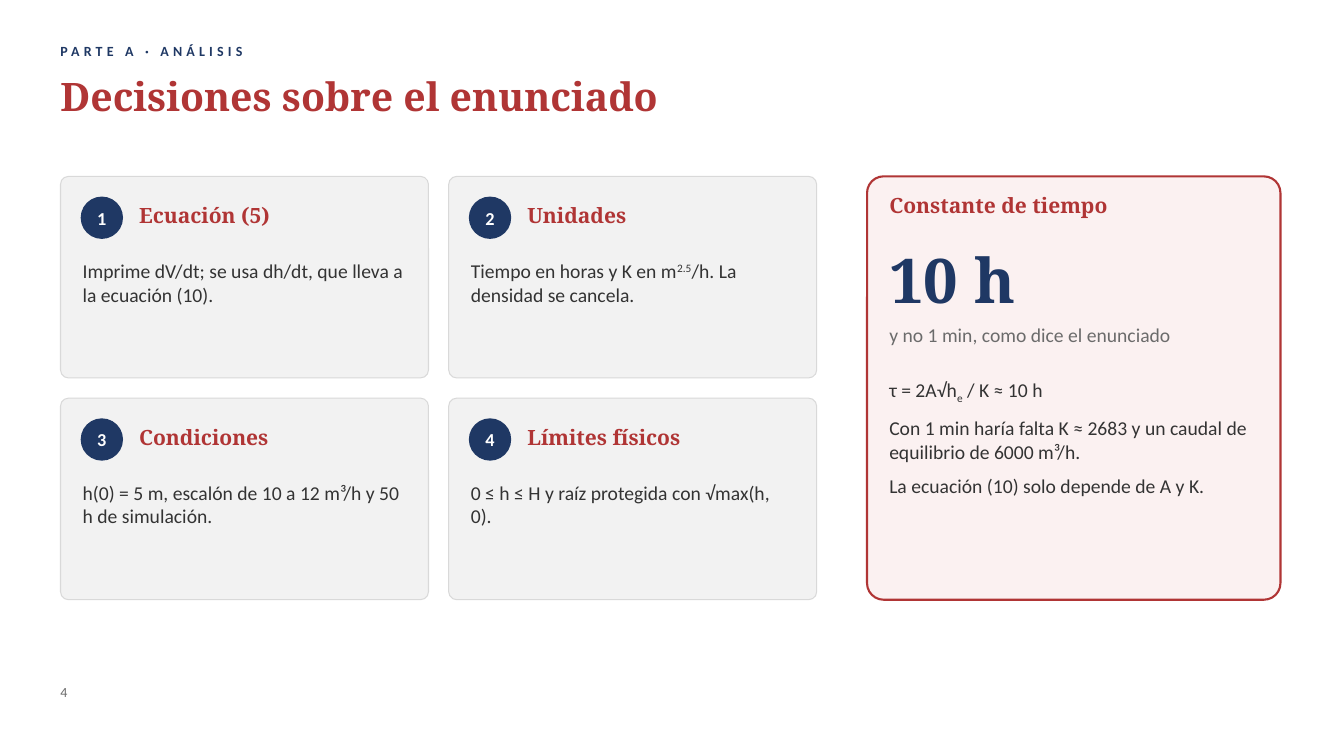
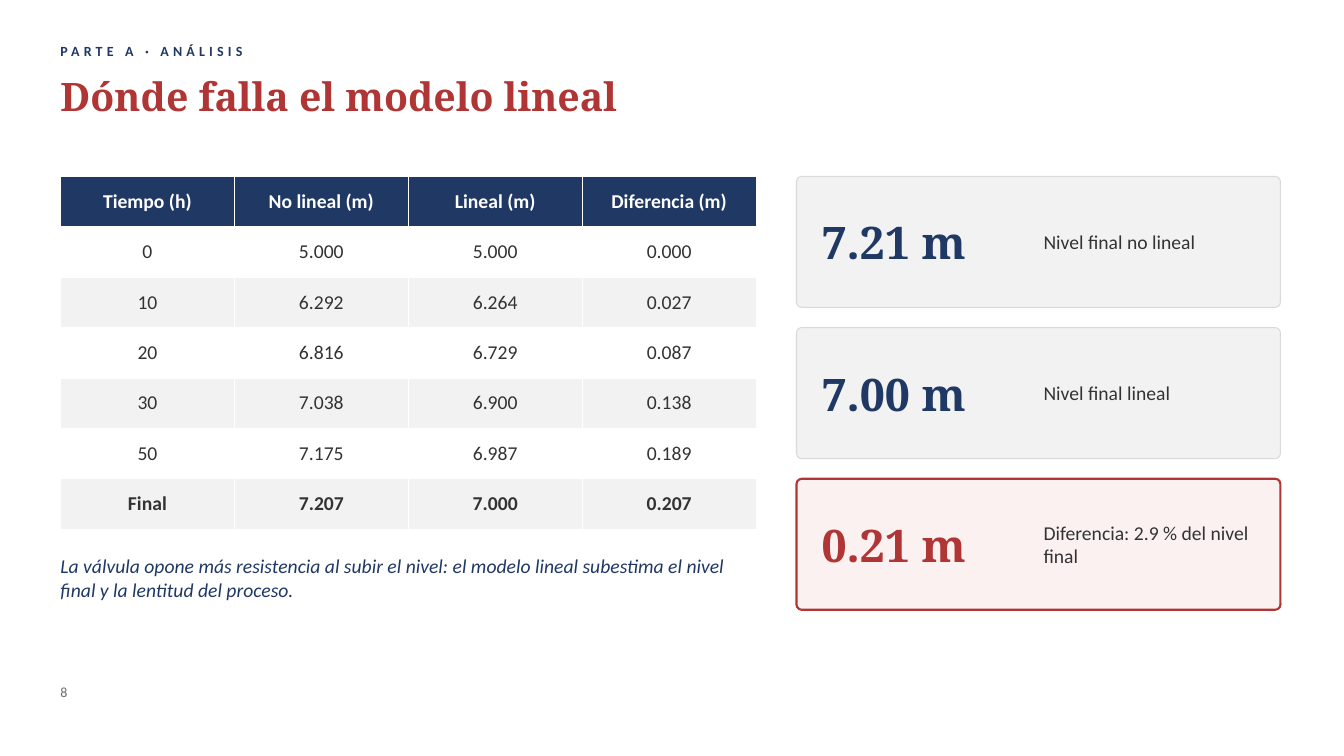
from pptx import Presentation
from pptx.dml.color import RGBColor
from pptx.enum.shapes import MSO_SHAPE
from pptx.enum.text import MSO_ANCHOR, MSO_AUTO_SIZE, PP_ALIGN
from pptx.util import Emu, Pt

COLORS = {
    "navy": "1F3864", "red": "B03535", "ink": "333333", "muted": "6B6B6B",
    "white": "FFFFFF", "gray": "F2F2F2", "border": "D9D9D9", "blush": "FBF1F1",
}
SANS, SERIF = "Calibri", "Noto Serif"
LEFT, RIGHT, TOP, GAP = 60, 1270, 175, 20
TITLE_ONLY = 5


def px(n):
    """Convert px (100 to the inch) to EMU."""
    return Emu(n * 9144)


def rgb(name):
    return RGBColor.from_string(COLORS[name])


def style(r, size, color, font=SANS, bold=False, italic=False):
    r.font.size, r.font.name = Pt(size), font
    r.font.bold, r.font.italic = bold, italic
    r.font.color.rgb = rgb(color)


def write(tf, paragraphs, size, color, after=6, align=PP_ALIGN.LEFT,
          anchor=MSO_ANCHOR.TOP, **font):
    """Fill a frame; a paragraph is a string or a list of (text, baseline %) runs."""
    tf.word_wrap = True
    tf.auto_size = MSO_AUTO_SIZE.NONE
    tf.margin_left = tf.margin_top = tf.margin_right = tf.margin_bottom = 0
    tf.vertical_anchor = anchor
    for i, runs in enumerate(paragraphs):
        p = tf.add_paragraph() if i else tf.paragraphs[0]
        p.alignment, p.space_after = align, Pt(after)
        for text, baseline in [(runs, 0)] if isinstance(runs, str) else runs:
            r = p.add_run()
            r.text = text
            style(r, size, color, **font)
            if baseline:
                r.font._element.set("baseline", str(baseline * 1000))


def add_text(s, x, y, w, h, content, size, color, **options):
    """Add a text box holding one paragraph."""
    box = s.shapes.add_textbox(px(x), px(y), px(w), px(h))
    write(box.text_frame, [content], size, color, **options)
    return box


def add_shape(s, kind, x, y, w, h, fill, line=None, width=0.75):
    sp = s.shapes.add_shape(kind, px(x), px(y), px(w), px(h))
    sp.shadow.inherit = False
    sp.fill.solid()
    sp.fill.fore_color.rgb = rgb(fill)
    if line:
        sp.line.color.rgb = rgb(line)
        sp.line.width = Pt(width)
    else:
        sp.line.fill.background()
    return sp


def add_card(s, x, y, w, h, highlight=False):
    look = ("blush", "red", 1.5) if highlight else ("gray", "border", 0.75)
    card = add_shape(s, MSO_SHAPE.ROUNDED_RECTANGLE, x, y, w, h, *look)
    card.adjustments[0] = 0.04


def add_slide(prs, section, title, number):
    """Start a slide with its section label, title and page number."""
    s = prs.slides.add_slide(prs.slide_layouts[TITLE_ONLY])
    label = add_text(s, LEFT, 42, 1050, 25, section, 10, "navy", bold=True)
    label.text_frame.paragraphs[0].runs[0].font._element.set("spc", "300")
    heading = s.shapes.title
    heading.left, heading.top, heading.width, heading.height = map(
        px, (LEFT, 72, 1160, 70))
    write(heading.text_frame, [title], 28, "red", font=SERIF, bold=True)
    add_text(s, LEFT, 678, 100, 25, str(number), 10, "muted")
    return s


def add_decision(s, x, y, w, h, number, heading, body):
    add_card(s, x, y, w, h)
    badge = add_shape(s, MSO_SHAPE.OVAL, x + 20, y + 20, 42, 42, "navy")
    write(badge.text_frame, [str(number)], 13, "white", after=0, bold=True,
          align=PP_ALIGN.CENTER, anchor=MSO_ANCHOR.MIDDLE)
    add_text(s, x + 78, y + 26, w - 95, 35, heading, 15, "red",
             font=SERIF, bold=True)
    add_text(s, x + 22, y + 82, w - 45, h - 90, body, 14, "ink")


def add_panel(s, x, y, w, h, heading, figure, caption, details):
    add_card(s, x, y, w, h, highlight=True)
    x, w = x + 22, w - 44
    add_text(s, x, y + 16, w, 34, heading, 15, "red", font=SERIF, bold=True)
    add_text(s, x, y + 65, w, 75, figure, 44, "navy", font=SERIF, bold=True)
    add_text(s, x, y + 145, w, 35, caption, 14, "muted")
    box = s.shapes.add_textbox(px(x), px(y + 200), px(w), px(h - 210))
    write(box.text_frame, details, 14, "ink", after=8)


def add_metric(s, x, y, w, h, value, label, highlight=False):
    add_card(s, x, y, w, h, highlight)
    add_text(s, x + 25, y + 20, 220, h - 40, value, 32,
             "red" if highlight else "navy",
             font=SERIF, bold=True, anchor=MSO_ANCHOR.MIDDLE)
    add_text(s, x + 245, y + 20, 220, h - 40, label, 14, "ink",
             anchor=MSO_ANCHOR.MIDDLE)


def add_data_table(s, x, y, w, row_h, rows):
    """Add a striped table with a header row and a bold last row."""
    last = len(rows) - 1
    table = s.shapes.add_table(len(rows), len(rows[0]), px(x), px(y), px(w),
                               px(row_h * len(rows))).table
    table.horz_banding = False
    for i, row in enumerate(rows):
        fill = "navy" if i == 0 else "white" if i % 2 else "gray"
        for j, value in enumerate(row):
            cell = table.cell(i, j)
            cell.fill.solid()
            cell.fill.fore_color.rgb = rgb(fill)
            cell.vertical_anchor = MSO_ANCHOR.MIDDLE
            p = cell.text_frame.paragraphs[0]
            p.text = value
            p.alignment = PP_ALIGN.CENTER
            style(p.runs[0], 14, "white" if i == 0 else "ink",
                  bold=i in (0, last))


def decisions_slide(prs, section):
    s = add_slide(prs, section, "Decisiones sobre el enunciado", 4)
    decisions = [
        ("Ecuación (5)",
         "Imprime dV/dt; se usa dh/dt, que lleva a la ecuación (10)."),
        ("Unidades",
         [("Tiempo en horas y K en m", 0), ("2.5", 30),
          ("/h. La densidad se cancela.", 0)]),
        ("Condiciones",
         "h(0) = 5 m, escalón de 10 a 12 m³/h y 50 h de simulación."),
        ("Límites físicos", "0 ≤ h ≤ H y raíz protegida con √max(h, 0)."),
    ]
    w, h = 365, 200
    for i, (heading, body) in enumerate(decisions):
        row, col = divmod(i, 2)
        add_decision(s, LEFT + col * (w + GAP), TOP + row * (h + GAP), w, h,
                     i + 1, heading, body)
    panel_w = 410
    add_panel(s, RIGHT - panel_w, TOP, panel_w, 2 * h + GAP,
              "Constante de tiempo", "10 h",
              "y no 1 min, como dice el enunciado",
              [[("τ = 2A√h", 0), ("e", -25), (" / K ≈ 10 h", 0)],
               "Con 1 min haría falta K ≈ 2683 y un caudal de equilibrio "
               "de 6000 m³/h.",
               "La ecuación (10) solo depende de A y K."])


def comparison_slide(prs, section):
    s = add_slide(prs, section, "Dónde falla el modelo lineal", 8)
    rows = [
        ("Tiempo (h)", "No lineal (m)", "Lineal (m)", "Diferencia (m)"),
        ("0", "5.000", "5.000", "0.000"),
        ("10", "6.292", "6.264", "0.027"),
        ("20", "6.816", "6.729", "0.087"),
        ("30", "7.038", "6.900", "0.138"),
        ("50", "7.175", "6.987", "0.189"),
        ("Final", "7.207", "7.000", "0.207"),
    ]
    table_w, row_h = 690, 50
    add_data_table(s, LEFT, TOP, table_w, row_h, rows)
    add_text(s, LEFT, TOP + row_h * len(rows) + 25, table_w, 70,
             "La válvula opone más resistencia al subir el nivel: el modelo "
             "lineal subestima el nivel final y la lentitud del proceso.",
             14, "navy", italic=True)
    metrics = [
        ("7.21 m", "Nivel final no lineal", False),
        ("7.00 m", "Nivel final lineal", False),
        ("0.21 m", "Diferencia: 2.9 % del nivel final", True),
    ]
    w, h = 480, 130
    for i, metric in enumerate(metrics):
        add_metric(s, RIGHT - w, TOP + i * (h + GAP), w, h, *metric)


def main():
    prs = Presentation()
    prs.slide_width, prs.slide_height = px(1333), px(750)
    section = "PARTE A · ANÁLISIS"
    decisions_slide(prs, section)
    comparison_slide(prs, section)
    prs.save("out.pptx")


if __name__ == "__main__":
    main()
